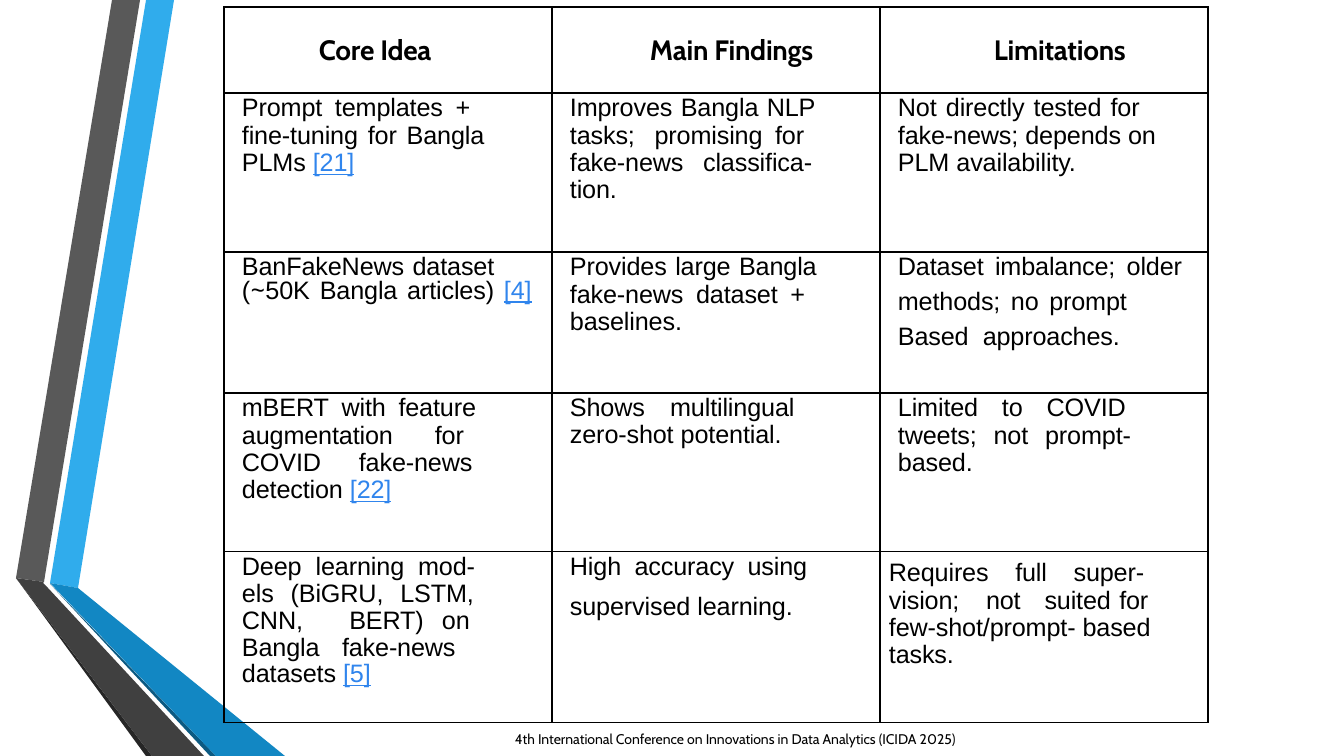
"""Build the slide with the comparison table of Bangla fake-news studies."""
from itertools import cycle

from lxml.etree import SubElement
from pptx import Presentation
from pptx.dml.color import RGBColor
from pptx.enum.text import MSO_ANCHOR as ANCHOR
from pptx.oxml.ns import qn
from pptx.util import Pt

BLACK = RGBColor(0x00, 0x00, 0x00)
LINK = RGBColor(0x30, 0x85, 0xED)
SKY = RGBColor(0x30, 0xAC, 0xEC)
GRAY = RGBColor(0x59, 0x59, 0x59)
INK = RGBColor(0x26, 0x26, 0x26)
NAVY = RGBColor(0x0C, 0x5A, 0x82)
BLUE = RGBColor(0x12, 0x87, 0xC3)
CHARCOAL = RGBColor(0x40, 0x40, 0x40)

RIBBONS = [
    (SKY, [(50, 583), (78, 588), (174, 0), (146, 0)]),
    (GRAY, [(140, 0), (112, 0), (16, 578), (44, 582)]),
    (INK, [(16, 578), (146, 756), (152, 756)]),
    (NAVY, [(50, 584), (210, 756), (216, 756)]),
    (BLUE, [(50, 583), (216, 756), (285, 756), (78, 588)]),
    (CHARCOAL, [(16, 578), (152, 756), (204, 756), (48, 588), (43, 583), (44, 582)]),
]
FOOTER = "4th\u00a0International Conference on Innovations in Data Analytics (ICIDA 2025)"
HEADINGS = [("Core Idea", 95), ("Main Findings", 98), ("Limitations", 114)]

# Each cell: line pitch in points, then lines of text with the extra width of their word gaps.
STUDIES = [
    [
        (19.5, [("Prompt templates +", 4), ("fine-tuning for Bangla", 2), ("PLMs [21]", 0)]),
        (19.5, [("Improves Bangla NLP", 1), ("tasks; promising for", 9, 4),
                ("fake-news classifica-", 9), ("tion.", 0)]),
        (19.5, [("Not directly tested for", 1.5), ("fake-news; depends on", -1),
                ("PLM availability.", 0)]),
    ],
    [
        (18, [("BanFakeNews dataset", 1), ("(∼50K Bangla articles) [4]", 2)]),
        (19.5, [("Provides large Bangla", 1), ("fake-news dataset +", 4), ("baselines.", 0)]),
        (25, [("Dataset imbalance; older", 3), ("methods; no prompt", 2.5),
              ("Based approaches.", 5)]),
    ],
    [
        (19.5, [("mBERT with feature", 4), ("augmentation for", 25),
                ("COVID fake-news", 22), ("detection [22]", 0)]),
        (19, [("Shows multilingual", 13), ("zero-shot potential.", 0)]),
        (19.5, [("Limited to COVID", 12), ("tweets; not prompt-", 7), ("based.", 0)]),
    ],
    [
        (19.1, [("Deep learning mod-", 5), ("els (BiGRU, LSTM,", 7), ("CNN, BERT) on", 28, 8),
                ("Bangla fake-news", 11), ("datasets [5]", 0)]),
        (28.7, [("High accuracy using", 4.5), ("supervised learning.", -1)]),
        (19.5, [("Requires full super-", 14), ("vision; not suited for", 14, 12, 1),
                ("few-shot/prompt- based", -1), ("tasks.", 0)]),
    ],
]
PX = 914400 / 100.8
LEFT, COL_W = 224, 328
HEAD_TOP, BODY_TOP = 7, 93
ROW_HEIGHTS = [159, 141, 159, 171]
CELL_INSET, LAST_INSET = (18, 2), (9, 8)
FIRST_LINE, TRACKING = 19.5, -0.1


def px(n):
    return round(n * PX)


def add_run(p, text, size, name="Arial", color=BLACK, spacing=0):
    r = p.add_run()
    r.text = text
    r.font.size, r.font.name = Pt(size), name
    r.font.color.rgb = color
    r._r.get_or_add_rPr().set("spc", str(round(spacing * 100)))
    return r


def add_line(p, text, *gaps):
    gap = cycle(gaps)
    for i, word in enumerate(text.split(" ")):
        if i:
            add_run(p, " ", 18, spacing=next(gap))
        cited = word.startswith("[")
        for part in filter(None, word.partition("∼")):
            name = "Noto Sans Mono" if part == "∼" else "Arial"
            r = add_run(p, part, 18, name, LINK if cited else BLACK, TRACKING)
            r.font.underline = cited


def style_cell(cell, left, top):
    cell.margin_left, cell.margin_top = px(left), px(top)
    cell.margin_right = cell.margin_bottom = 0
    tcPr = cell._tc.get_or_add_tcPr()
    for side in ("lnL", "lnR", "lnT", "lnB"):
        ln = SubElement(tcPr, qn("a:" + side), w=str(Pt(1)))
        fill = SubElement(ln, qn("a:solidFill"))
        SubElement(fill, qn("a:srgbClr"), val=str(BLACK))
    cell.fill.background()


def add_grid(s, top, heights):
    cols = len(HEADINGS)
    table = s.shapes.add_table(len(heights), cols, px(LEFT), px(top),
                               px(cols * COL_W), px(sum(heights))).table
    table.first_row = table.horz_banding = False
    for col in table.columns:
        col.width = px(COL_W)
    for row, height in zip(table.rows, heights):
        row.height = px(height)
    return table


def add_ribbons(s):
    for color, points in RIBBONS:
        fb = s.shapes.build_freeform(*points[0], scale=PX)
        fb.add_line_segments(points[1:])
        sp = fb.convert_to_shape()
        sp.shadow.inherit = False
        sp.fill.solid()
        sp.fill.fore_color.rgb = color
        sp.line.fill.background()


def add_footer(s):
    tf = s.shapes.add_textbox(px(505), px(722), px(559), px(34)).text_frame
    tf.word_wrap, tf.vertical_anchor = True, ANCHOR.MIDDLE
    add_run(tf.paragraphs[0], FOOTER, 10, "Cabin")


def add_headings(s):
    table = add_grid(s, HEAD_TOP, [BODY_TOP - HEAD_TOP])
    for cell, (text, left) in zip(table.iter_cells(), HEADINGS):
        style_cell(cell, left, 0)
        cell.vertical_anchor = ANCHOR.MIDDLE
        add_run(cell.text_frame.paragraphs[0], text, 20, "Cabin", spacing=-0.2).font.bold = True


def add_studies(s):
    table = add_grid(s, BODY_TOP, ROW_HEIGHTS)
    cells = list(table.iter_cells())
    for cell, (pitch, lines) in zip(cells, sum(STUDIES, [])):
        style_cell(cell, *(LAST_INSET if cell is cells[-1] else CELL_INSET))
        tf = cell.text_frame
        for i, line in enumerate(lines):
            p = tf.add_paragraph() if i else tf.paragraphs[0]
            p.line_spacing = Pt(pitch if i else FIRST_LINE)
            add_line(p, *line)


def main():
    prs = Presentation()
    prs.slide_width, prs.slide_height = px(1344), px(756)
    s = prs.slides.add_slide(prs.slide_layouts[6])
    add_ribbons(s)
    add_footer(s)
    add_headings(s)
    add_studies(s)
    prs.save("out.pptx")


if __name__ == "__main__":
    main()
